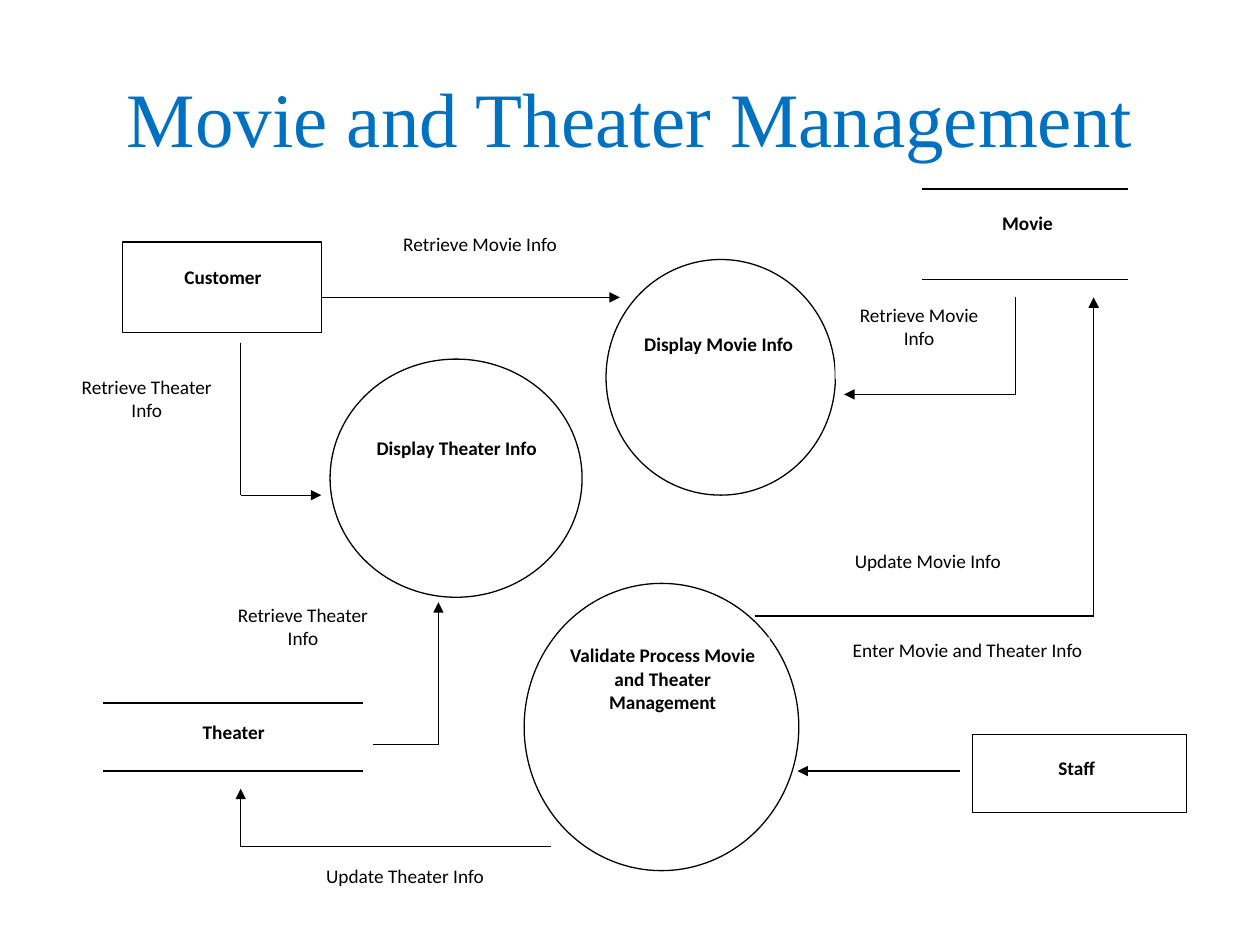
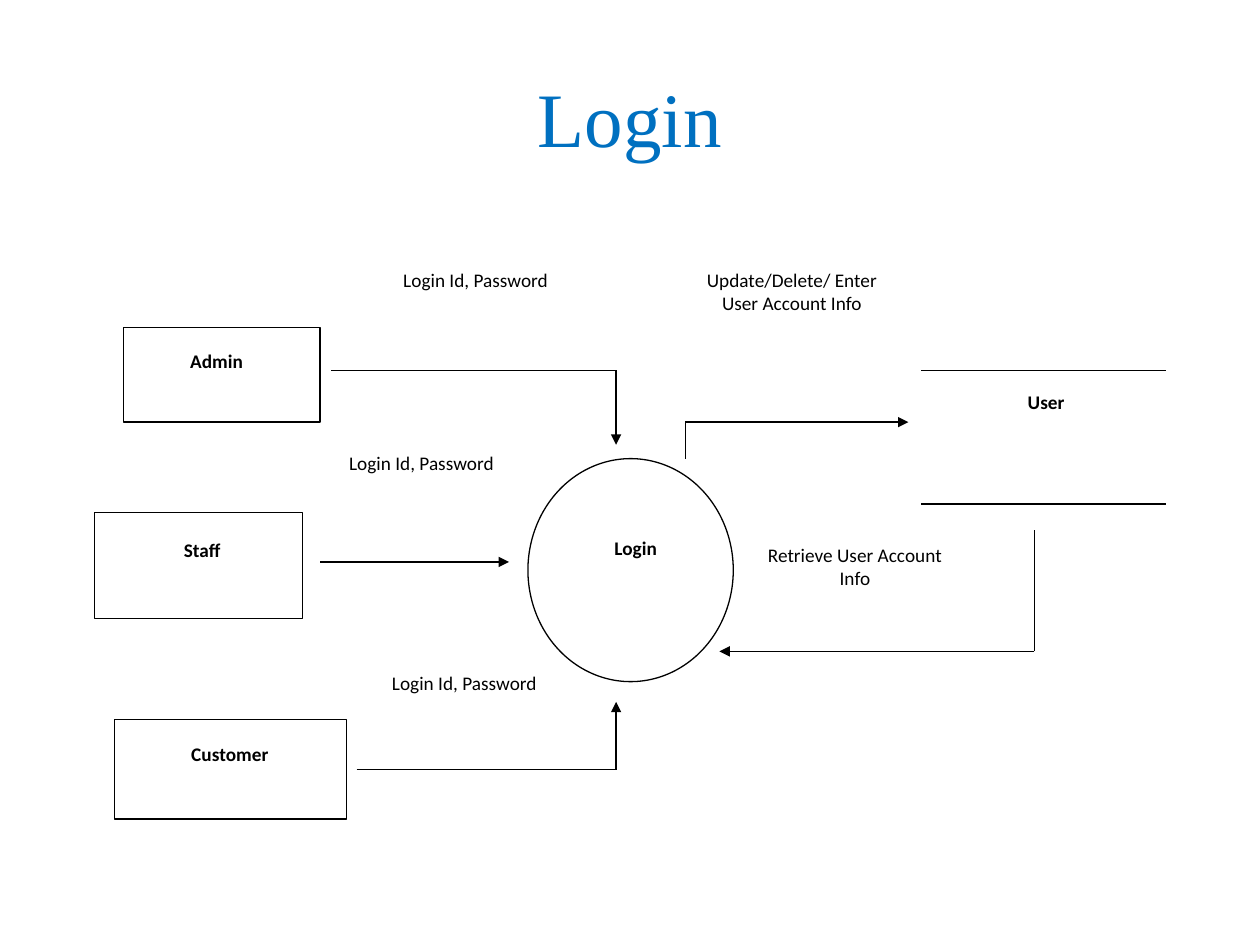
from lxml import etree
from pptx import Presentation
from pptx.dml.color import RGBColor
from pptx.enum.shapes import MSO_CONNECTOR, MSO_SHAPE
from pptx.enum.text import MSO_ANCHOR, PP_ALIGN
from pptx.oxml.ns import qn
from pptx.util import Inches, Pt

RECT, OVAL = MSO_SHAPE.RECTANGLE, MSO_SHAPE.OVAL
STRAIGHT = MSO_CONNECTOR.STRAIGHT
TOP, MIDDLE = MSO_ANCHOR.TOP, MSO_ANCHOR.MIDDLE
CENTER = PP_ALIGN.CENTER

# Shared style
COLORS = {"paper": "FFFFFF", "ink": "000000", "title": "0070C0"}
TITLE = {"name": "Times New Roman", "size": Pt(44), "bold": False}
NAME = {"name": "Calibri", "size": Pt(11), "bold": True}
FLOW = {"name": "Calibri", "size": Pt(11), "bold": False}
TITLE_BOX = (0.5, 0.3, 9, 1.25)
STROKE = Pt(0.75)

# Content: boxes are (left, top, width, height)
# nodes: outline, box, text box, text
# stores: left, right, upper line, lower line, text box, text
# flows: corner points, arrowhead at the last one
# labels: text box, text
SLIDES = [
    {
        "title": "Movie and Theater Management",
        "nodes": [
            (OVAL, (2.62, 2.85, 2, 1.89), (2.88, 3.41, 1.49, 0.82),
             "Display Theater Info"),
            (OVAL, (4.81, 2.06, 1.82, 1.87), (4.96, 2.59, 1.49, 0.82),
             "Display Movie Info"),
            (OVAL, (4.16, 4.63, 2.18, 2.28), (4.41, 5.06, 1.7, 1.4),
             "Validate Process Movie and Theater Management"),
            (RECT, (0.97, 1.92, 1.58, 0.72), (1.11, 2.06, 1.32, 0.5),
             "Customer"),
            (RECT, (7.72, 5.83, 1.7, 0.62), (7.94, 5.95, 1.21, 0.42),
             "Staff"),
        ],
        "stores": [
            (7.32, 8.95, 1.5, 2.22, (7.28, 1.63, 1.75, 0.44), "Movie"),
            (0.82, 2.88, 5.58, 6.12, (0.91, 5.67, 1.89, 0.43), "Theater"),
        ],
        "flows": [
            [(1.91, 2.72), (1.91, 3.93), (2.55, 3.93)],
            [(2.96, 5.91), (3.48, 5.91), (3.48, 4.78)],
            [(8.06, 2.36), (8.06, 3.13), (6.7, 3.13)],
            [(2.55, 2.36), (4.92, 2.36)],
            [(7.62, 6.12), (6.33, 6.12)],
            [(4.37, 6.72), (1.91, 6.72), (1.91, 6.26)],
            [(5.99, 4.89), (8.68, 4.89), (8.68, 2.36)],
        ],
        "labels": [
            ((0.5, 2.93, 1.33, 0.73), "Retrieve Theater Info"),
            ((1.74, 4.74, 1.33, 0.73), "Retrieve Theater Info"),
            ((2.7, 1.79, 2.22, 0.42), "Retrieve Movie Info"),
            ((6.63, 2.36, 1.33, 0.65), "Retrieve Movie Info"),
            ((6.51, 5.02, 2.34, 0.64), "Enter Movie and Theater Info"),
            ((2.15, 6.81, 2.13, 0.44), "Update Theater Info"),
            ((6.45, 4.31, 1.83, 0.43), "Update Movie Info"),
        ],
    },
    {
        "title": "Login",
        "nodes": [
            (OVAL, (4.19, 3.64, 1.63, 1.77), (4.39, 4.21, 1.31, 0.61),
             "Login"),
            (RECT, (0.98, 2.6, 1.56, 0.75), (1.14, 2.72, 1.16, 0.5),
             "Admin"),
            (RECT, (0.75, 4.07, 1.65, 0.84), (0.94, 4.22, 1.33, 0.52),
             "Staff"),
            (RECT, (0.91, 5.71, 1.84, 0.79), (1.11, 5.84, 1.43, 0.54),
             "Customer"),
        ],
        "stores": [
            (7.31, 9.25, 2.94, 4, (7.46, 3.05, 1.72, 0.86), "User "),
        ],
        "flows": [
            [(2.63, 2.94), (4.89, 2.94), (4.89, 3.53)],
            [(2.83, 6.11), (4.89, 6.11), (4.89, 5.57)],
            [(2.54, 4.46), (4.04, 4.46)],
            [(8.21, 4.21), (8.21, 5.17), (5.71, 5.17)],
            [(5.44, 3.64), (5.44, 3.35), (7.21, 3.35)],
        ],
        "labels": [
            ((2.93, 2.08, 1.69, 0.73), "Login Id, Password"),
            ((2.5, 3.53, 1.69, 0.73), "Login Id, Password"),
            ((2.84, 5.28, 1.69, 0.73), "Login Id, Password"),
            ((5.36, 2.08, 1.85, 1.14),
             "Update/Delete/ Enter User Account Info"),
            ((5.94, 4.26, 1.69, 0.73), "Retrieve User Account Info"),
        ],
    },
]


def tint(name):
    return RGBColor.from_string(COLORS[name])


def shape(slide, kind, box, line=False):
    item = slide.shapes.add_shape(kind, *map(Inches, box))
    item.shadow.inherit = False
    item.fill.solid()
    item.fill.fore_color.rgb = tint("paper")
    if line:
        item.line.color.rgb = tint("ink")
        item.line.width = STROKE
    else:
        item.line.fill.background()
    return item


def write(item, text, style, color="ink", anchor=TOP, after=10):
    frame = item.text_frame
    frame.word_wrap = True
    frame.vertical_anchor = anchor
    para = frame.paragraphs[0]
    para.alignment = CENTER
    para.space_after = Pt(after)
    run = para.add_run()
    run.text = text
    for key, value in style.items():
        setattr(run.font, key, value)
    run.font.color.rgb = tint(color)


def label(slide, box, text, style):
    write(shape(slide, RECT, box), text, style)


def line(slide, start, end, arrow=False):
    item = slide.shapes.add_connector(STRAIGHT, *map(Inches, start + end))
    item.line.color.rgb = tint("ink")
    item.line.width = STROKE
    if arrow:
        edge = item.line._get_or_add_ln()
        etree.SubElement(edge, qn("a:tailEnd"), type="triangle")
    etree.SubElement(item._element.spPr, qn("a:effectLst"))


def build(deck, page):
    slide = deck.slides.add_slide(deck.slide_layouts[6])
    slide.background.fill.solid()
    slide.background.fill.fore_color.rgb = tint("paper")
    head = slide.shapes.add_textbox(*map(Inches, TITLE_BOX))
    write(head, page["title"], TITLE, "title", MIDDLE, 0)

    # Processes and outside parties
    for kind, box, inner, text in page["nodes"]:
        shape(slide, kind, box, line=True)
        label(slide, inner, text, NAME)

    # Data stores: the lines lie over the text box
    for left, right, upper, lower, inner, text in page["stores"]:
        label(slide, inner, text, NAME)
        for y in (upper, lower):
            line(slide, (left, y), (right, y))

    # Data flows: the lines lie over the text boxes
    for box, text in page["labels"]:
        label(slide, box, text, FLOW)
    for points in page["flows"]:
        for start, end in zip(points, points[1:]):
            line(slide, start, end, arrow=end == points[-1])


deck = Presentation()
deck.slide_width, deck.slide_height = Inches(10), Inches(7.5)
for page in SLIDES:
    build(deck, page)
deck.save("out.pptx")
